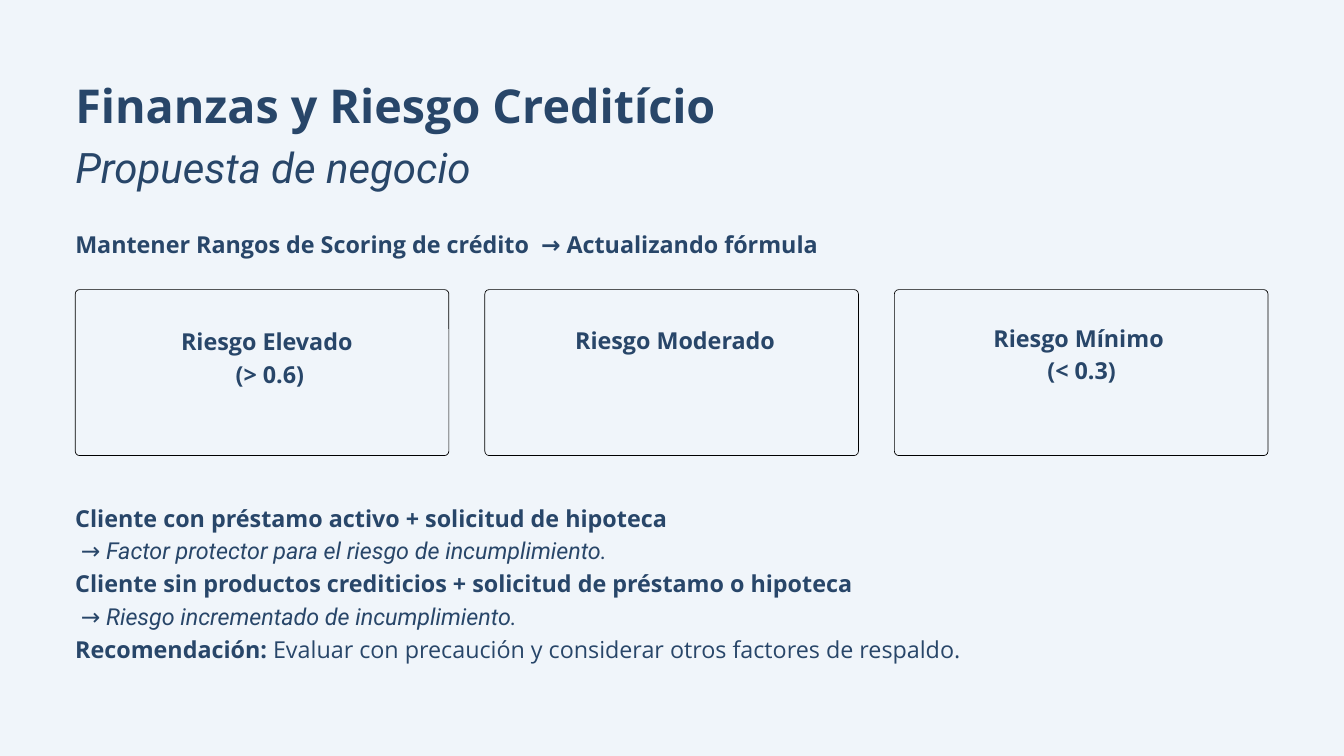
from pptx import Presentation
from pptx.dml.color import RGBColor
from pptx.enum import shapes, text
from pptx.util import Inches, Pt

NAVY = "284669"
BACKGROUND = "F0F5FA"
BLACK = "000000"
BOLD = ("Open Sans", True, False)
PLAIN = ("Open Sans", False, False)
ITALIC = ("Roboto", False, True)

LEFT = 1.12
CARD_WIDTH, CARD_HEIGHT, CARD_STEP = 5.56, 2.47, 6.095
CORNER_RADIUS = 0.065


def color(hex_value):
    return RGBColor.from_string(hex_value)


def add_text(slide, box, lines, align=text.PP_ALIGN.LEFT):
    """Each line is (runs, size, line spacing); each run is (words, style)."""
    frame = slide.shapes.add_textbox(*map(Inches, box)).text_frame
    frame.word_wrap = True
    frame.auto_size = text.MSO_AUTO_SIZE.SHAPE_TO_FIT_TEXT
    frame.margin_left = frame.margin_right = 0
    frame.margin_top = frame.margin_bottom = 0
    for index, (runs, size, spacing) in enumerate(lines):
        paragraph = frame.add_paragraph() if index else frame.paragraphs[0]
        paragraph.alignment = align
        paragraph.line_spacing = Pt(spacing)
        for words, (font_name, bold, italic) in runs:
            run = paragraph.add_run()
            run.text = words
            font = run.font
            font.name, font.size = font_name, Pt(size)
            font.bold, font.italic = bold, italic
            font.color.rgb = color(NAVY)


def body_line(*runs):
    return runs, 25, 35


def add_heading(slide, left, top, width):
    add_text(slide, (left, top, width, 1.83), [
        ([("Finanzas y Riesgo Creditício", BOLD)], 50, 70),
        ([("Propuesta de negocio", ITALIC)], 45, 63),
    ])
    add_text(slide, (left, top + 2.35, width, 0.46), [
        body_line(("Mantener Rangos de Scoring de crédito  → Actualizando fórmula", BOLD)),
    ])


def add_risk_card(slide, left, top, label_offset, label_lines):
    card = slide.shapes.add_shape(
        shapes.MSO_SHAPE.ROUNDED_RECTANGLE,
        *map(Inches, (left, top, CARD_WIDTH, CARD_HEIGHT)))
    card.adjustments[0] = CORNER_RADIUS / CARD_HEIGHT
    card.shadow.inherit = False
    card.fill.background()
    card.line.color.rgb = color(BLACK)
    card.line.width = Pt(0.75)
    dx, dy = label_offset
    add_text(slide, (left + dx, top + dy, 5.01, 0.94),
             [body_line((words, BOLD)) for words in label_lines],
             text.PP_ALIGN.CENTER)


def add_risk_cards(slide, left, top):
    # The trailing space is part of each label and shifts its centring.
    risks = [
        ((0.39, 0.49), ["Riesgo Elevado ", "(> 0.6)"]),
        ((0.37, 0.48), ["Riesgo Moderado "]),
        ((0.28, 0.44), ["Riesgo Mínimo ", "(< 0.3)"]),
    ]
    for column, (label_offset, label_lines) in enumerate(risks):
        add_risk_card(slide, left + column * CARD_STEP, top, label_offset, label_lines)


def add_client_cases(slide, box):
    add_text(slide, box, [
        body_line(("Cliente con préstamo activo + solicitud de hipoteca", BOLD)),
        body_line((" → Factor protector para el riesgo de incumplimiento.", ITALIC)),
        body_line(("Cliente sin productos crediticios + solicitud de préstamo o hipoteca", BOLD)),
        body_line((" → Riesgo incrementado de incumplimiento.", ITALIC)),
        body_line(
            ("Recomendación: ", BOLD),
            ("Evaluar con precaución y considerar otros factores de respaldo.", PLAIN)),
    ], text.PP_ALIGN.JUSTIFY)


def main():
    presentation = Presentation()
    presentation.slide_width = Inches(20)
    presentation.slide_height = Inches(11.25)
    slide = presentation.slides.add_slide(presentation.slide_layouts[6])
    slide.background.fill.solid()
    slide.background.fill.fore_color.rgb = color(BACKGROUND)
    add_heading(slide, LEFT, 1.01, 17.75)
    add_risk_cards(slide, LEFT, 4.31)
    add_client_cases(slide, (LEFT, 7.43, 15.56, 2.39))
    presentation.save("out.pptx")


if __name__ == "__main__":
    main()
